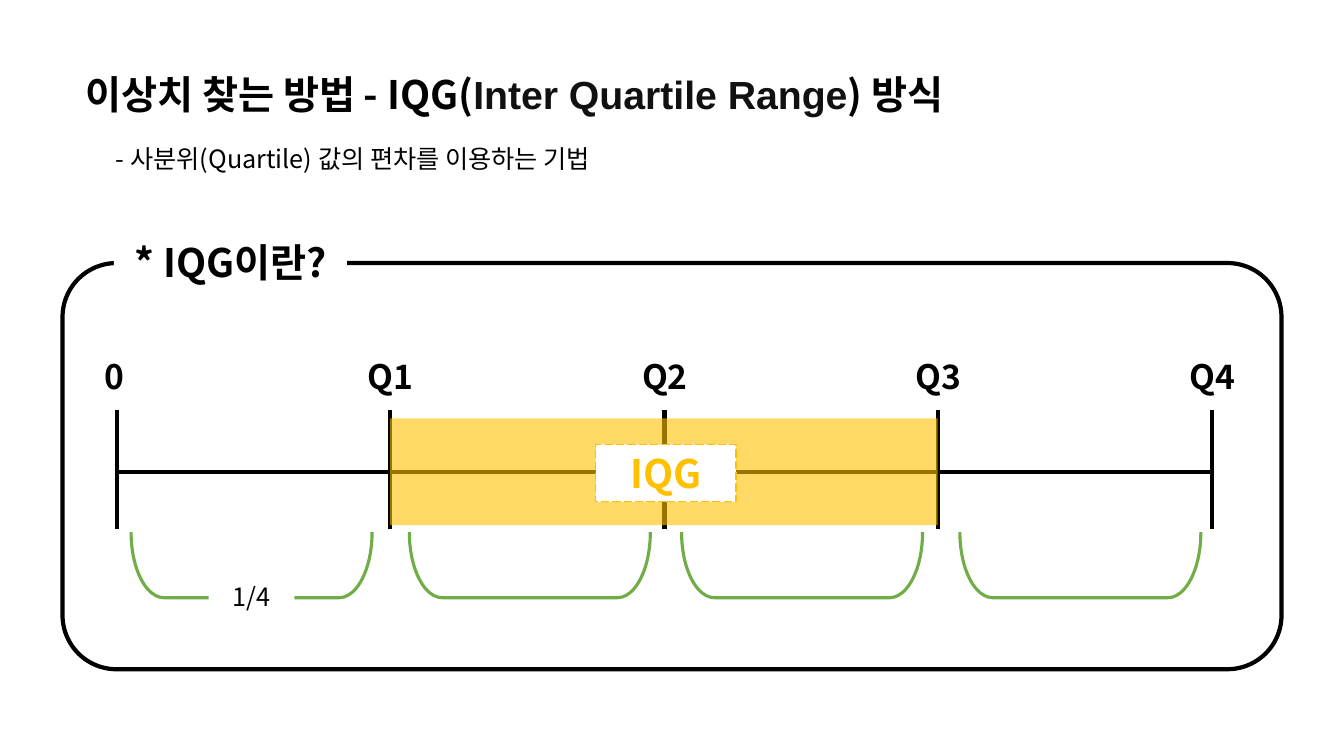
from dataclasses import dataclass

from lxml.etree import SubElement
from pptx import Presentation
from pptx.dml.color import RGBColor as Color
from pptx.enum.dml import MSO_LINE_DASH_STYLE as Dash
from pptx.enum.shapes import MSO_CONNECTOR as Connector, MSO_SHAPE as Shape
from pptx.enum.text import MSO_ANCHOR as Anchor, MSO_AUTO_SIZE as AutoSize, PP_ALIGN as Align
from pptx.oxml.ns import qn
from pptx.util import Pt


@dataclass(frozen=True)
class Theme:
    """Colours, fonts and type sizes of the slide."""
    ink: str = "000000"
    soft_ink: str = "111111"
    paper: str = "FFFFFF"
    gold: str = "FFC000"
    green: str = "70AD47"
    font: str = "Noto Sans CJK KR"
    latin_font: str = "Arial"
    heading: int = 28
    label: int = 24
    body: int = 18
    heavy_line: float = 3
    bracket_line: float = 2.25
    thin_line: float = 0.75


THEME = Theme()
EMU_PER_PX = 9144
AXIS_LEFT, AXIS_RIGHT, AXIS_Y = 116, 1202, 468
TICK_TOP, TICK_BOTTOM = 407, 525
TICK_LABELS = ("0", "Q1", "Q2", "Q3", "Q4")
BRACKET_LEFTS = (217, 493, 763, 1039)


def px(*lengths):
    """Turn lengths in px into EMU."""
    return [length * EMU_PER_PX for length in lengths]


def style_span(span, size, color=THEME.ink, bold=False, font=THEME.font):
    """Format one run, for Latin and Korean letters alike."""
    span.font.size = Pt(size)
    span.font.bold = bold
    span.font.color.rgb = Color.from_string(color)
    span.font.name = font
    SubElement(span.font._element, qn("a:ea")).set("typeface", font)


def fit_frame(box, align):
    """Prepare a one-line text frame and return its paragraph."""
    frame = box.text_frame
    frame.word_wrap = True
    frame.auto_size = AutoSize.NONE
    frame.vertical_anchor = Anchor.MIDDLE
    frame.margin_left, frame.margin_right = px(10, 10)
    frame.margin_top, frame.margin_bottom = px(5, 5)
    para = frame.paragraphs[0]
    para.alignment = align
    para.space_before = Pt(0)
    return para


def write(box, text, size, color=THEME.ink, bold=False, align=Align.CENTER):
    """Write one line in a single format and return its paragraph."""
    para = fit_frame(box, align)
    para.text = text
    style_span(para.runs[0], size, color, bold)
    return para


def move(box, left, top, width, height):
    """Place a box by px."""
    box.left, box.top, box.width, box.height = px(left, top, width, height)


def add_title(page):
    """Fill the title placeholder with its mixed fonts."""
    title = page.shapes.title
    move(title, 33, 65, 954, 57)
    para = fit_frame(title, Align.CENTER)
    for text, font, color in (
        ("이상치 찾는 방법 - IQG(", THEME.font, THEME.ink),
        ("Inter Quartile Range", THEME.latin_font, THEME.soft_ink),
        (") 방식", THEME.font, THEME.ink),
    ):
        span = para.add_run()
        span.text = text
        style_span(span, THEME.heading, color, True, font)


def add_subtitle(page):
    """Fill the body placeholder as a plain line."""
    body = page.placeholders[1]
    move(body, 105, 137, 594, 40)
    para = write(body, "- 사분위(Quartile) 값의 편차를 이용하는 기법", THEME.body, align=Align.LEFT)
    settings = para._p.get_or_add_pPr()
    settings.set("marL", "0")
    settings.set("indent", "0")
    SubElement(settings, qn("a:buNone"))


def add_shape(page, kind, place, fill=None, line=None, weight=THEME.heavy_line):
    """Add a preset shape with optional fill and outline."""
    shape = page.shapes.add_shape(kind, *px(*place))
    shape.shadow.inherit = False
    if fill:
        shape.fill.solid()
        shape.fill.fore_color.rgb = Color.from_string(fill)
    else:
        shape.fill.background()
    if line:
        shape.line.color.rgb = Color.from_string(line)
        shape.line.width = Pt(weight)
    else:
        shape.line.fill.background()
    return shape


def add_line(group, start, end):
    """Add a heavy straight line between two points."""
    line = group.shapes.add_connector(Connector.STRAIGHT, *px(*start, *end))
    line.line.color.rgb = Color.from_string(THEME.ink)
    line.line.width = Pt(THEME.heavy_line)
    SubElement(line._element.spPr, qn("a:effectLst"))


def add_axis(page, ticks):
    """Add the number line with its ticks as one group."""
    axis = page.shapes.add_group_shape()
    add_line(axis, (AXIS_LEFT, AXIS_Y), (AXIS_RIGHT, AXIS_Y))
    for tick in ticks:
        add_line(axis, (tick, TICK_BOTTOM), (tick, TICK_TOP))


def add_bracket(page, left):
    """Add a bracket that opens upward below a quarter of the axis."""
    bracket = add_shape(page, Shape.LEFT_BRACKET, (left, 441, 65, 239),
                        line=THEME.green, weight=THEME.bracket_line)
    bracket.adjustments[0] = 0.504
    bracket.rotation = 270


def add_tick_label(page, text, tick):
    """Add a bold label above a tick, with the zero set slightly left."""
    left = tick - (72 if text == "0" else 69)
    box = page.shapes.add_textbox(*px(left, 348, 139, 50))
    write(box, text, THEME.label, bold=True)


def add_range_band(page, left, right):
    """Add the translucent band between the outer quartiles."""
    band = add_shape(page, Shape.RECTANGLE, (left, 415, right - left, 106), THEME.gold)
    color = band._element.spPr.find(qn("a:solidFill"))[0]
    SubElement(color, qn("a:alpha")).set("val", "60000")


def main():
    """Build the slide and save it."""
    deck = Presentation()
    deck.slide_width, deck.slide_height = px(1333, 750)
    page = deck.slides.add_slide(deck.slide_layouts[1])
    add_title(page)
    add_subtitle(page)

    quarters = len(TICK_LABELS) - 1
    ticks = [AXIS_LEFT + (AXIS_RIGHT - AXIS_LEFT) * i // quarters for i in range(quarters + 1)]
    add_axis(page, ticks)
    for left in BRACKET_LEFTS:
        add_bracket(page, left)
    for text, tick in zip(TICK_LABELS, ticks):
        add_tick_label(page, text, tick)
    add_range_band(page, ticks[1], ticks[3])

    share = add_shape(page, Shape.RECTANGLE, (207, 572, 85, 40), THEME.paper)
    write(share, "1/4", THEME.body)
    range_tag = add_shape(page, Shape.RECTANGLE, (591, 441, 139, 57),
                          THEME.paper, THEME.gold, THEME.thin_line)
    range_tag.line.dash_style = Dash.LONG_DASH
    write(range_tag, "IQG", THEME.heading, THEME.gold, True)

    frame = add_shape(page, Shape.ROUNDED_RECTANGLE, (62, 261, 1209, 403), line=THEME.ink)
    frame.adjustments[0] = 0.133
    heading = add_shape(page, Shape.RECTANGLE, (113, 231, 231, 57), THEME.paper)
    write(heading, "* IQG이란?", THEME.heading, bold=True)
    deck.save("out.pptx")


if __name__ == "__main__":
    main()
